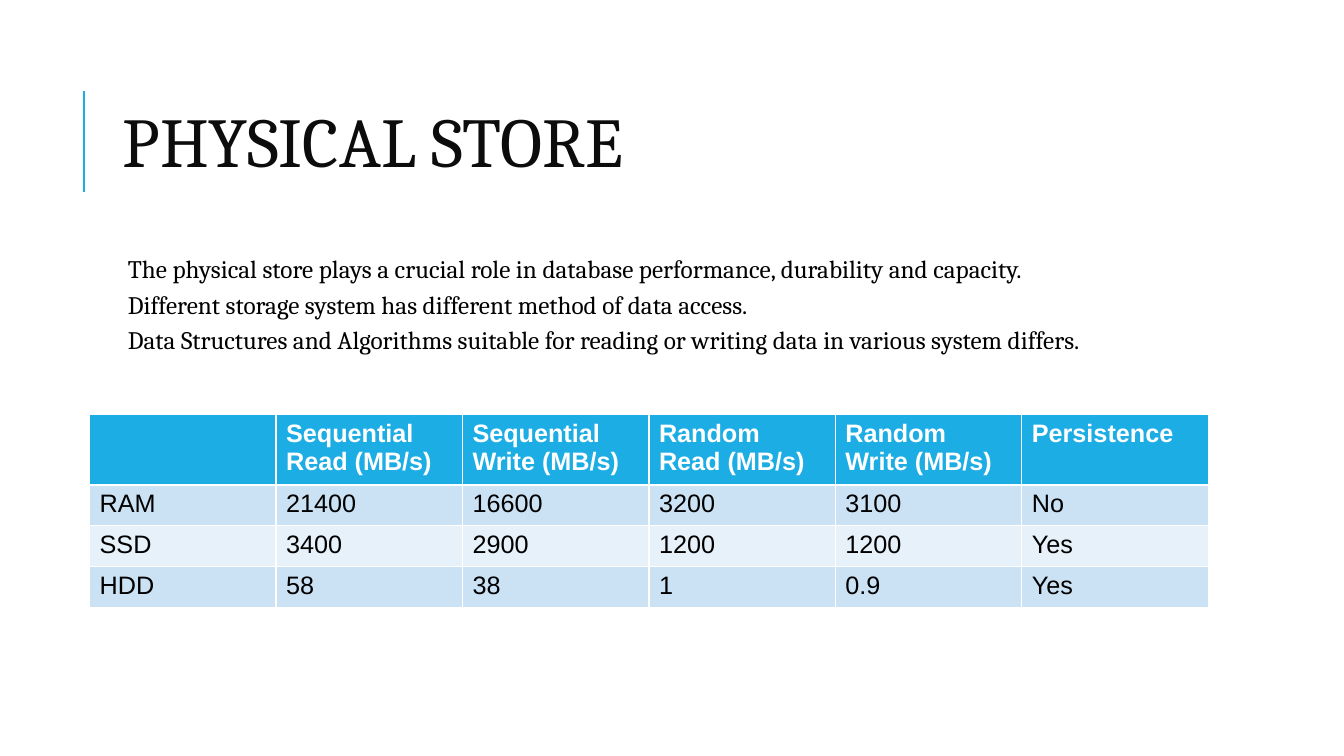
from lxml import etree
from pptx import Presentation
from pptx.dml.color import RGBColor
from pptx.enum.shapes import MSO_CONNECTOR
from pptx.enum.text import MSO_ANCHOR
from pptx.oxml.ns import qn
from pptx.util import Pt

STRAIGHT = MSO_CONNECTOR.STRAIGHT
TOP = MSO_ANCHOR.TOP
MIDDLE = MSO_ANCHOR.MIDDLE

ACCENT = RGBColor(0x1C, 0xAD, 0xE4)
NEAR_BLACK = RGBColor(0x0C, 0x0C, 0x0C)
BLACK = RGBColor(0x00, 0x00, 0x00)
WHITE = RGBColor(0xFF, 0xFF, 0xFF)
BAND_DARK = RGBColor(0xCB, 0xE2, 0xF5)
BAND_LIGHT = RGBColor(0xE7, 0xF1, 0xFA)

TITLE = "PHYSICAL STORE"
STATEMENTS = [
    "The physical store plays a crucial role in database performance, durability and capacity.",
    "Different storage system has different method of data access.",
    "Data Structures and Algorithms suitable for reading or writing data in various system differs.",
]
SPEEDS = [
    ["", "Sequential Read (MB/s)", "Sequential Write (MB/s)",
     "Random Read (MB/s)", "Random Write (MB/s)", "Persistence"],
    ["RAM", "21400", "16600", "3200", "3100", "No"],
    ["SSD", "3400", "2900", "1200", "1200", "Yes"],
    ["HDD", "58", "38", "1", "0.9", "Yes"],
]


class StoreSlide:
    text_font = "Cambria"
    table_font = "Arial"
    body_size = Pt(18)

    def __init__(self, slide):
        self.slide = slide

    def apply(self, target, values):
        for name, value in values.items():
            setattr(target, name, value)

    def style_run(self, run, font, size, color, bold=False):
        self.apply(run.font, {"name": font, "size": size, "bold": bold})
        run.font.color.rgb = color

    def rule(self, x, top, bottom):
        accent_rule = self.slide.shapes.add_connector(
            STRAIGHT, Pt(x), Pt(bottom), Pt(x), Pt(top))
        accent_rule.line.color.rgb = ACCENT
        accent_rule.line.width = Pt(1.5)
        etree.SubElement(accent_rule._element.spPr, qn("a:effectLst"))

    def text(self, box, lines, size, color, anchor, left_inset, spacing, gap=0):
        frame = self.slide.shapes.add_textbox(*map(Pt, box)).text_frame
        self.apply(frame, {
            "word_wrap": True,
            "vertical_anchor": anchor,
            "margin_left": Pt(left_inset),
            "margin_right": Pt(3.6),
            "margin_top": Pt(3.6),
            "margin_bottom": Pt(3.6),
        })
        for index, line in enumerate(lines):
            paragraph = frame.add_paragraph() if index else frame.paragraphs[0]
            self.apply(paragraph, {
                "line_spacing": spacing,
                "space_before": Pt(gap if index else 0),
            })
            run = paragraph.add_run()
            run.text = line
            self.style_run(run, self.text_font, size, color)

    def table(self, left, top, column_width, row_height, rows):
        columns = len(rows[0])
        speeds = self.slide.shapes.add_table(
            len(rows), columns, Pt(left), Pt(top),
            Pt(column_width * columns), Pt(row_height * len(rows))).table
        for column in speeds.columns:
            column.width = Pt(column_width)
        for row_index, values in enumerate(rows):
            speeds.rows[row_index].height = Pt(row_height)
            header = row_index == 0
            band = BAND_DARK if row_index % 2 else BAND_LIGHT
            for column_index, value in enumerate(values):
                cell = speeds.cell(row_index, column_index)
                cell.fill.solid()
                cell.fill.fore_color.rgb = ACCENT if header else band
                if value:
                    run = cell.text_frame.paragraphs[0].add_run()
                    run.text = value
                    self.style_run(run, self.table_font, self.body_size,
                                   WHITE if header else BLACK, header)


def main():
    deck = Presentation()
    deck.slide_width = Pt(960)
    deck.slide_height = Pt(540)
    page = StoreSlide(deck.slides.add_slide(deck.slide_layouts[6]))
    page.rule(60, 65, 137)
    page.text((80.6, 46, 765.4, 118), [TITLE], Pt(50), NEAR_BLACK, MIDDLE, 7.2, 0.8)
    page.text((80.6, 180, 765.4, 316.8), STATEMENTS, page.body_size, BLACK, TOP, 10.8, 0.9, 6)
    page.table(64, 296, 133.2, 29.2, SPEEDS)
    deck.save("out.pptx")


if __name__ == "__main__":
    main()
